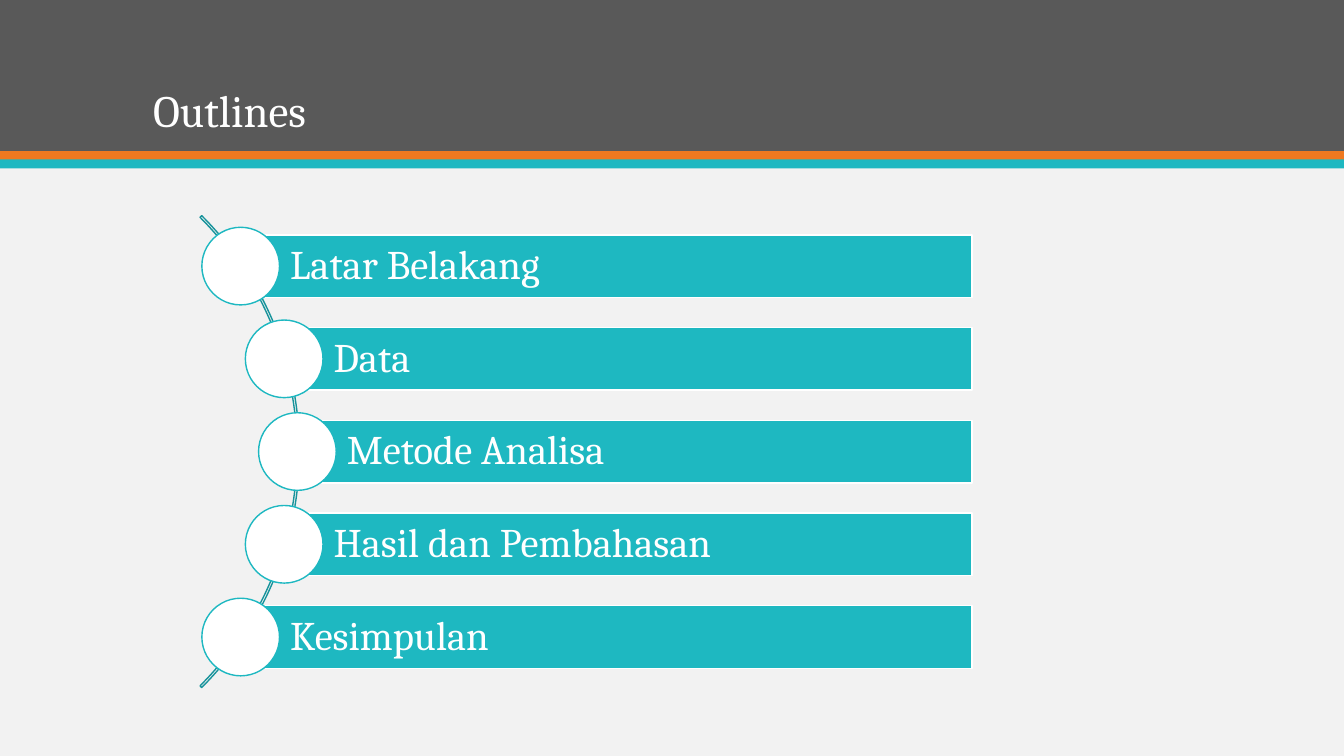
"""Build the outline slide: a title band and five topics along an arc."""
from math import sqrt

from pptx import Presentation
from pptx.dml.color import RGBColor
from pptx.enum.shapes import MSO_SHAPE as Shape
from pptx.enum.text import MSO_ANCHOR as Anchor, PP_ALIGN as Align
from pptx.util import Inches, Pt

TITLE = "Outlines"
TOPICS = ["Latar Belakang", "Data", "Metode Analisa", "Hasil dan Pembahasan", "Kesimpulan"]
COLORS = {
    "paper": "F2F2F2", "band": "595959", "orange": "EF7920",
    "teal": "1EB8C1", "arc": "18939B", "white": "FFFFFF",
}
BANDS = [(0, 1.5, "band"), (1.5, 0.09, "orange"), (1.58, 0.09, "teal")]
FONT = "Cambria"
PAGE_WIDTH, PAGE_HEIGHT = 13.33, 7.5
ARC_X, ARC_Y, ARC_SIZE, ARC_RADIUS = -0.34, 4.48, 6.62, 3.29
ARC_ADJUSTMENTS = (189, 27, 0.0035)
ROW_STEP, BAR_RIGHT, BAR_HEIGHT, DOT_SIZE = 0.92, 9.64, 0.62, 0.77


def color(name):
    """Return the named colour."""
    return RGBColor.from_string(COLORS[name])


def add_shape(page, kind, left, top, width, height, fill=None, line=None):
    """Add a flat preset shape, with optional fill and outline."""
    shape = page.shapes.add_shape(kind, Inches(left), Inches(top), Inches(width), Inches(height))
    shape.shadow.inherit = False
    if fill:
        shape.fill.solid()
        shape.fill.fore_color.rgb = color(fill)
    else:
        shape.fill.background()
    if line:
        shape.line.color.rgb = color(line)
        shape.line.width = Pt(1)
    else:
        shape.line.fill.background()
    return shape


def write(box, text, size, anchor, insets):
    """Write one white line of text in a box."""
    frame = box.text_frame
    frame.word_wrap = True
    frame.vertical_anchor = anchor
    frame.margin_left, frame.margin_top, frame.margin_right, frame.margin_bottom = map(Inches, insets)
    para = frame.paragraphs[0]
    para.alignment = Align.LEFT
    para.line_spacing = 0.9
    span = para.add_run()
    span.text = text
    span.font.name = FONT
    span.font.size = Pt(size)
    span.font.color.rgb = color("white")


def add_topic(page, topic, offset):
    """Add a bar and its dot, centred on the arc at a vertical offset."""
    x = ARC_X + sqrt(ARC_RADIUS ** 2 - offset ** 2)
    y = ARC_Y + offset
    bar = add_shape(page, Shape.RECTANGLE, x, y - BAR_HEIGHT / 2, BAR_RIGHT - x, BAR_HEIGHT, "teal", "white")
    write(bar, topic, 29, Anchor.MIDDLE, (0.49, 0.08, 0.08, 0.08))
    add_shape(page, Shape.OVAL, x - DOT_SIZE / 2, y - DOT_SIZE / 2, DOT_SIZE, DOT_SIZE, "white", "teal")


def main():
    """Build and save the deck."""
    deck = Presentation()
    deck.slide_width, deck.slide_height = Inches(PAGE_WIDTH), Inches(PAGE_HEIGHT)
    page = deck.slides.add_slide(deck.slide_layouts[6])
    page.background.fill.solid()
    page.background.fill.fore_color.rgb = color("paper")

    for top, height, fill in BANDS:
        add_shape(page, Shape.RECTANGLE, 0, top, PAGE_WIDTH, height, fill)
    title = page.shapes.add_textbox(Inches(1.42), Inches(0.28), Inches(10.5), Inches(1.13))
    write(title, TITLE, 32, Anchor.BOTTOM, (0.1, 0.05, 0.1, 0.05))

    arc = add_shape(page, Shape.BLOCK_ARC, ARC_X - ARC_SIZE / 2, ARC_Y - ARC_SIZE / 2,
                    ARC_SIZE, ARC_SIZE, line="arc")
    for index, value in enumerate(ARC_ADJUSTMENTS):
        arc.adjustments[index] = value
    middle = (len(TOPICS) - 1) / 2
    for index, topic in enumerate(TOPICS):
        add_topic(page, topic, (index - middle) * ROW_STEP)
    deck.save("out.pptx")


if __name__ == "__main__":
    main()
